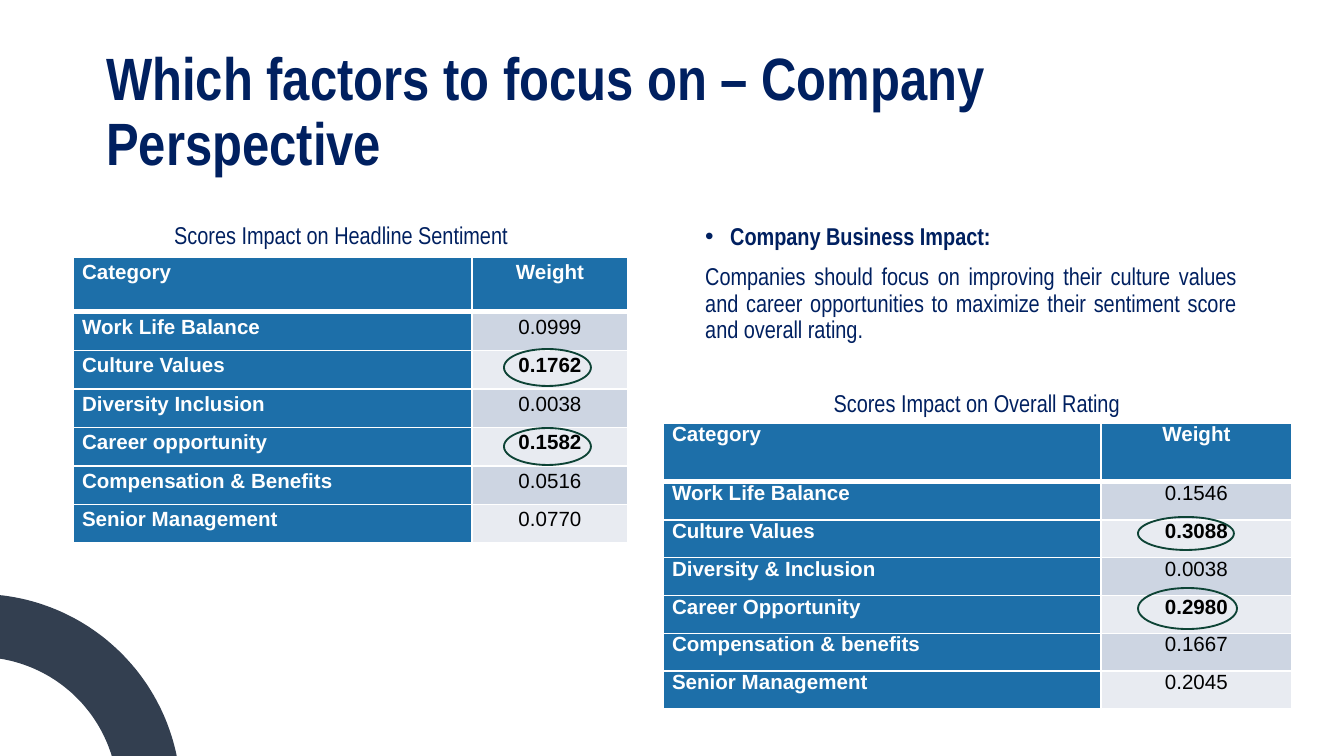
from math import cos, pi, sin

from lxml.etree import SubElement
from pptx import Presentation
from pptx.dml.color import RGBColor
from pptx.enum.shapes import MSO_SHAPE
from pptx.enum.text import MSO_ANCHOR, PP_ALIGN
from pptx.oxml.ns import qn
from pptx.util import Pt

PX = 9144000 / 1344
COLORS = {
    "navy": "002060",
    "blue": "1D6FA9",
    "band_dark": "CDD5E2",
    "band_light": "E8EBF1",
    "white": "FFFFFF",
    "black": "000000",
    "green": "0D4335",
    "slate": "333F50",
}


def px(*lengths):
    return [round(length * PX) for length in lengths]


def add_run(paragraph, text, size, color, bold=False, font="Arial Narrow"):
    run = paragraph.add_run()
    run.text = text
    run.font.name = font
    run.font.size = Pt(size)
    run.font.bold = bold
    run.font.color.rgb = RGBColor.from_string(COLORS[color])


presentation = Presentation()
presentation.slide_width, presentation.slide_height = px(1344, 756)
slide = presentation.slides.add_slide(presentation.slide_layouts[6])

title = slide.shapes.add_textbox(*px(93, 40, 1159, 147)).text_frame
title.word_wrap = True
title.vertical_anchor = MSO_ANCHOR.MIDDLE
title.paragraphs[0].line_spacing = 0.9
add_run(title.paragraphs[0], "Which factors to focus on – Company Perspective", 32, "navy", True)

headline_rows = [
    ("Category", "Weight"),
    ("Work Life Balance", "0.0999"),
    ("Culture Values", "0.1762"),
    ("Diversity Inclusion", "0.0038"),
    ("Career opportunity", "0.1582"),
    ("Compensation & Benefits", "0.0516"),
    ("Senior Management", "0.0770"),
]
rating_rows = [
    ("Category", "Weight"),
    ("Work Life Balance", "0.1546"),
    ("Culture Values", "0.3088"),
    ("Diversity & Inclusion", "0.0038"),
    ("Career Opportunity", "0.2980"),
    ("Compensation & benefits", "0.1667"),
    ("Senior Management", "0.2045"),
]
HIGHLIGHTED_ROWS = (2, 4)
TABLE_HEIGHT = 286

for rows, left, top, widths, header_height, line_spacing, space_after in [
    (headline_rows, 73, 257, (399, 156), 55, 1.16, 8),
    (rating_rows, 663, 423, (438, 191), 59, 1.0, 0),
]:
    frame = slide.shapes.add_table(len(rows), 2, *px(left, top, sum(widths), TABLE_HEIGHT))
    table = frame.table
    for column, width in zip(table.columns, px(*widths)):
        column.width = width
    body_height = (TABLE_HEIGHT - header_height) / (len(rows) - 1)
    for row_index, values in enumerate(rows):
        table.rows[row_index].height = px(body_height if row_index else header_height)[0]
        for column_index, value in enumerate(values):
            is_label = row_index == 0 or column_index == 0
            band = "band_dark" if row_index % 2 else "band_light"
            cell = table.cell(row_index, column_index)
            cell.margin_left, cell.margin_right = px(9, 9)
            cell.margin_top = cell.margin_bottom = 0
            borders = {"a:lnL": 1, "a:lnR": 1, "a:lnT": 1, "a:lnB": 1}
            if row_index == 0:
                borders["a:lnB"] = 3
            if row_index == 1:
                borders["a:lnT"] = 3
            properties = cell._tc.get_or_add_tcPr()
            for tag, width in borders.items():
                border = SubElement(properties, qn(tag), w=str(Pt(width)))
                fill = SubElement(border, qn("a:solidFill"))
                SubElement(fill, qn("a:srgbClr"), val=COLORS["white"])
            cell.fill.solid()
            cell.fill.fore_color.rgb = RGBColor.from_string(COLORS["blue" if is_label else band])
            paragraph = cell.text_frame.paragraphs[0]
            paragraph.alignment = PP_ALIGN.CENTER if column_index else PP_ALIGN.JUSTIFY
            paragraph.line_spacing = line_spacing
            paragraph.space_after = Pt(space_after)
            bold = is_label or row_index in HIGHLIGHTED_ROWS
            add_run(paragraph, value, 11, "white" if is_label else "black", bold, "Arial")

for bounds in [(504, 349, 87, 37), (504, 428, 87, 37), (1138, 517, 96, 33), (1138, 588, 99, 41)]:
    highlight = slide.shapes.add_shape(MSO_SHAPE.OVAL, *px(*bounds))
    highlight.shadow.inherit = False
    highlight.fill.background()
    highlight.line.color.rgb = RGBColor.from_string(COLORS["green"])
    highlight.line.width = Pt(1)

impact = slide.shapes.add_textbox(*px(692, 218, 557, 147)).text_frame
impact.word_wrap = True
heading, body = impact.paragraphs[0], impact.add_paragraph()
for paragraph in (heading, body):
    paragraph.alignment = PP_ALIGN.JUSTIFY
    paragraph.line_spacing = 0.9
    paragraph.space_before = Pt(7.5)
indent = px(25)[0]
heading_properties = heading._p.get_or_add_pPr()
heading_properties.set("marL", str(indent))
heading_properties.set("indent", str(-indent))
SubElement(heading_properties, qn("a:buFont"), typeface="Arial")
SubElement(heading_properties, qn("a:buChar"), char="•")
add_run(heading, "Company Business Impact:", 13, "navy", True)
add_run(
    body,
    "Companies should focus on improving their culture values and career opportunities "
    "to maximize their sentiment score and overall rating.",
    13,
    "navy",
)

for text, bounds, alignment in [
    ("Scores Impact on Headline Sentiment", (161, 214, 379, 43), PP_ALIGN.LEFT),
    ("Scores Impact on Overall Rating", (791, 382, 371, 43), PP_ALIGN.CENTER),
]:
    caption = slide.shapes.add_textbox(*px(*bounds)).text_frame
    caption.word_wrap = True
    caption.paragraphs[0].alignment = alignment
    add_run(caption.paragraphs[0], text, 13, "navy")

center_x, center_y, outer_radius, inner_radius = -22, 797, 203, 140
STEPS = 60
angles = [step * pi / 2 / STEPS for step in range(STEPS + 1)]
ring_points = [
    px(center_x + radius * cos(angle), center_y - radius * sin(angle))
    for radius, sweep in [(outer_radius, angles), (inner_radius, angles[::-1])]
    for angle in sweep
]
builder = slide.shapes.build_freeform(*ring_points[0])
builder.add_line_segments(ring_points[1:], close=True)
ring = builder.convert_to_shape()
ring.shadow.inherit = False
ring.fill.solid()
ring.fill.fore_color.rgb = RGBColor.from_string(COLORS["slate"])
ring.line.fill.background()

presentation.save("out.pptx")
